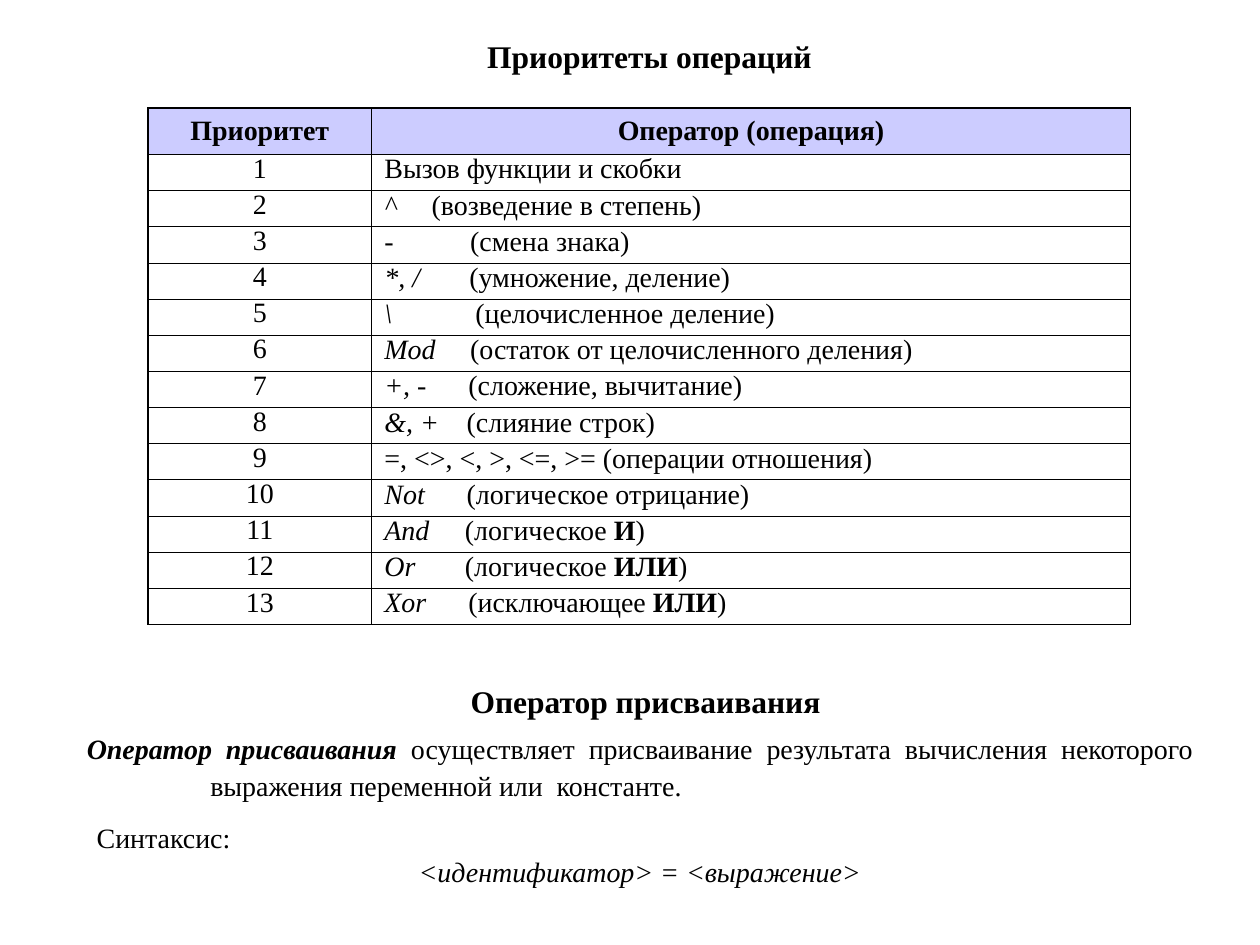
from lxml.etree import SubElement
from pptx import Presentation
from pptx.dml.color import RGBColor
from pptx.enum.text import MSO_ANCHOR, MSO_AUTO_SIZE, PP_ALIGN
from pptx.oxml import parse_xml
from pptx.oxml.ns import nsdecls, qn
from pptx.util import Pt

LEFT, MID, JUST = PP_ALIGN.LEFT, PP_ALIGN.CENTER, PP_ALIGN.JUSTIFY
TOP, CENTER = MSO_ANCHOR.TOP, MSO_ANCHOR.MIDDLE
FONT, BLACK, HEAD = "Times New Roman", "000000", "CCCCFF"
THICK, THIN = 1.08, 0.45

HEADS = ["Приоритет", "Оператор (операция)"]
ROWS = [
    (0, [("Вызов функции и скобки", "")]),
    (27, [("^", "i"), ("\t(возведение в степень)", "")]),
    (49, [("-", "i"), ("\t(смена знака)", "")]),
    (48.5, [("*, /", "i"), ("\t(умножение, деление)", "")]),
    (52, [("\\", "i"), ("\t(целочисленное деление)", "")]),
    (49, [("Mod", "i"), ("\t(остаток от целочисленного деления)", "")]),
    (48, [("+, -", "i"), ("\t(сложение, вычитание)", "")]),
    (47, [("&, +", "i"), ("\t(слияние строк)", "")]),
    (0, [("=, <>, <, >, <=, >= (операции отношения)", "")]),
    (47, [("Not", "i"), ("\t(логическое отрицание)", "")]),
    (46, [("And", "i"), ("\t(логическое ", ""), ("И", "b"), (")", "")]),
    (46, [("Or", "i"), ("\t(логическое", ""), (" ИЛИ", "b"), (")", "")]),
    (48, [("Xor", "i"), ("\t(исключающее", ""), (" ИЛИ", "b"), (")", "")]),
]
WIDTHS = [128, 433.5]
HEIGHTS = [26.4] + [20.65] * len(ROWS)

TITLES = [(20.2, "Приоритеты операций"), (388.8, "Оператор присваивания ")]
RULE = [
    ("Оператор присваивания ", "bi"),
    ("осуществляет присваивание результата вычисления некоторого "
     "выражения переменной или  константе. ", ""),
]
SYNTAX = [("Синтаксис:", "", LEFT), ("<идентификатор> = <выражение>", "i", MID)]


def color(code):
    return RGBColor.from_string(code)


def write(para, text, style="", size=16, align=LEFT, line=None, hang=0, stop=0):
    para.alignment = align
    if line:
        para.line_spacing = line
    props = para._p.get_or_add_pPr()
    if hang:
        props.set("marL", str(Pt(hang)))
        props.set("indent", str(-Pt(hang)))
    if stop:
        tabs = SubElement(props, qn("a:tabLst"))
        SubElement(tabs, qn("a:tab"), pos=str(Pt(stop)), algn="l")
    for part, kind in [(text, style)] if isinstance(text, str) else text:
        run = para.add_run()
        run.text = part
        font = run.font
        font.name, font.size = FONT, Pt(size)
        font.bold, font.italic = "b" in kind, "i" in kind
        font.color.rgb = color(BLACK)


def add_box(slide, left, top, width, height, anchor=TOP, grow=False):
    box = slide.shapes.add_textbox(Pt(left), Pt(top), Pt(width), Pt(height))
    frame = box.text_frame
    frame.word_wrap = True
    frame.vertical_anchor = anchor
    frame.auto_size = MSO_AUTO_SIZE.SHAPE_TO_FIT_TEXT if grow else MSO_AUTO_SIZE.NONE
    return frame


def border(cell, row, col):
    outer = {
        "L": col == 0,
        "R": col == len(WIDTHS) - 1,
        "T": row == 0,
        "B": row == len(ROWS),
    }
    props = cell._tc.get_or_add_tcPr()
    for spot, (side, edge) in enumerate(outer.items()):
        width = Pt(THICK if edge else THIN)
        props.insert(spot, parse_xml(
            f'<a:ln{side} {nsdecls("a")} w="{width}"><a:solidFill>'
            f'<a:srgbClr val="{BLACK}"/></a:solidFill></a:ln{side}>'))


def add_grid(slide):
    grid = slide.shapes.add_table(
        len(HEIGHTS), len(WIDTHS), Pt(84.5), Pt(61.8),
        Pt(sum(WIDTHS)), Pt(sum(HEIGHTS))).table
    grid.first_row = grid.horz_banding = False
    for col, width in enumerate(WIDTHS):
        grid.columns[col].width = Pt(width)
    for row, height in enumerate(HEIGHTS):
        grid.rows[row].height = Pt(height)
        for col in range(len(WIDTHS)):
            cell = grid.cell(row, col)
            cell.vertical_anchor = TOP if row and col == 0 else CENTER
            para = cell.text_frame.paragraphs[0]
            if row == 0:
                cell.fill.solid()
                cell.fill.fore_color.rgb = color(HEAD)
                write(para, HEADS[col], style="b", align=MID)
            else:
                cell.fill.background()
                stop, text = ROWS[row - 1]
                if col == 0:
                    write(para, str(row), align=MID, line=0.7)
                else:
                    write(para, text, line=0.7, stop=stop)
            border(cell, row, col)


def main():
    deck = Presentation()
    deck.slide_width, deck.slide_height = Pt(720), Pt(540)
    slide = deck.slides.add_slide(deck.slide_layouts[6])
    for top, text in TITLES:
        frame = add_box(slide, 36.7, top, 668.9, 26.6, grow=True)
        write(frame.paragraphs[0], text, style="b", size=18, align=MID, line=0.9)
    add_grid(slide)
    frame = add_box(slide, 42.5, 411.8, 646.5, 51.1, anchor=CENTER)
    write(frame.paragraphs[0], RULE, align=JUST, line=1.1, hang=70.6)
    frame = add_box(slide, 48.2, 465.1, 635, 46.1, anchor=CENTER, grow=True)
    for spot, (text, style, align) in enumerate(SYNTAX):
        para = frame.add_paragraph() if spot else frame.paragraphs[0]
        write(para, text, style=style, align=align)
    deck.save("out.pptx")


if __name__ == "__main__":
    main()
